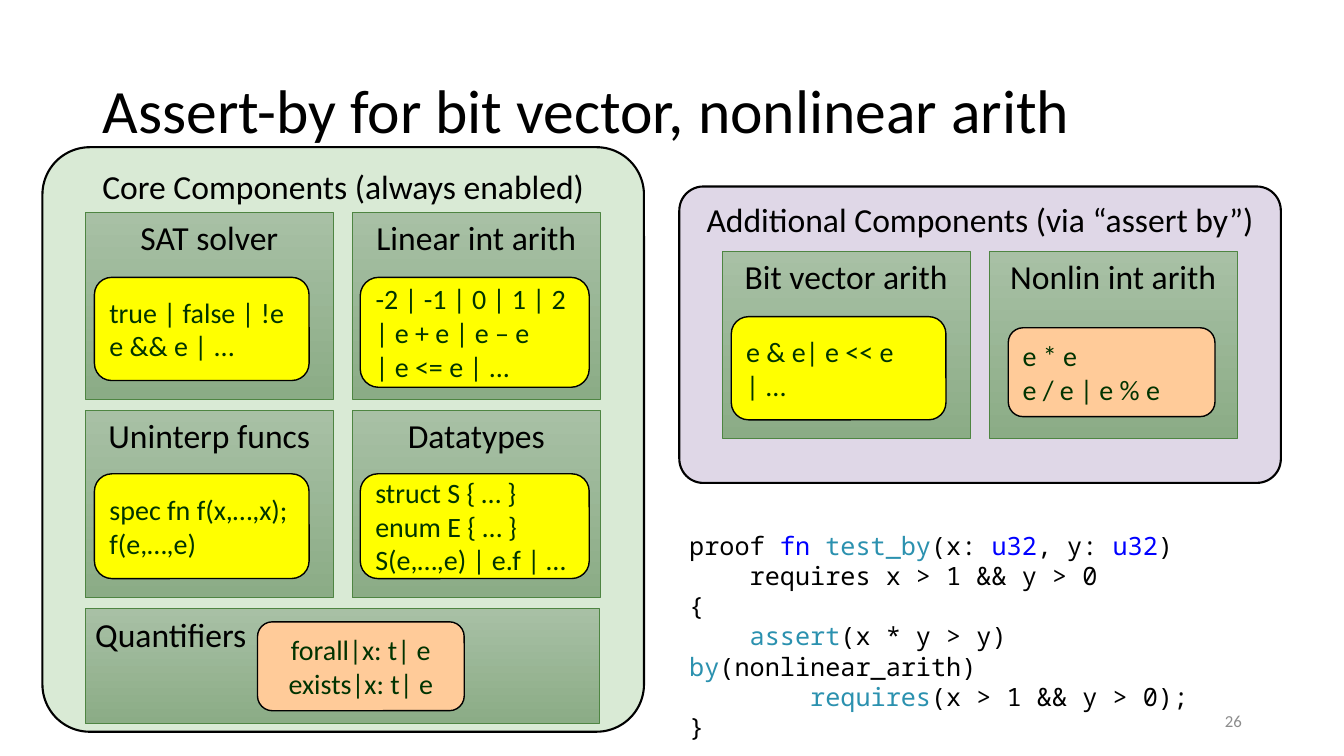
from pptx import Presentation
from pptx.dml.color import RGBColor
from pptx.enum.shapes import MSO_SHAPE
from pptx.enum.text import MSO_ANCHOR, PP_ALIGN
from pptx.util import Cm, Pt

RECT, ROUNDED = MSO_SHAPE.RECTANGLE, MSO_SHAPE.ROUNDED_RECTANGLE
LEFT, CENTER, RIGHT = PP_ALIGN.LEFT, PP_ALIGN.CENTER, PP_ALIGN.RIGHT
TOP, MIDDLE = MSO_ANCHOR.TOP, MSO_ANCHOR.MIDDLE

COLORS = {
    "black": "000000", "core": "D9EAD5", "additional": "DFD7E7",
    "tile_top": "A8C0A5", "tile_bottom": "8BAC86", "tile_line": "4E8542",
    "yellow": "FFFF00", "orange": "FFCB99", "syntax": "003300",
    "keyword": "0000FF", "name": "2B91AF", "number": "8C8C8C",
}

TITLE = "Assert-by for bit vector, nonlinear arith"
PAGE_NUMBER = "26"

# Tile: heading, (column, row), syntax lines, syntax fill,
# syntax box as (left, top, width, height) inside the tile, in cm
PANELS = [
    {"heading": "Core Components (always enabled)", "fill": "core",
     "at": (1.07, 3.71, 15.16, 14.73),
     "tiles": [
         ("SAT solver", (0, 0), ["true | false | !e", "e && e | ..."],
          "yellow", (0.23, 1.65, 5.41, 2.6)),
         ("Linear int arith", (1, 0),
          ["-2 | -1 | 0 | 1 | 2", "| e + e | e – e", "| e <= e | ..."],
          "yellow", (0.2, 1.65, 5.77, 2.77)),
         ("Uninterp funcs", (0, 1), ["spec fn f(x,…,x);", "f(e,…,e)"],
          "yellow", (0.23, 1.6, 5.41, 2.64)),
         ("Datatypes", (1, 1),
          ["struct S { … }", "enum E { … }", "S(e,…,e) | e.f | …"],
          "yellow", (0.2, 1.6, 5.77, 2.64)),
         ("Quantifiers", (0, 2), ["forall|x: t| e", "exists|x: t| e"],
          "orange", (4.34, 0.33, 5.21, 2.24)),
     ]},
    {"heading": "Additional Components (via “assert by”)",
     "fill": "additional", "at": (17.12, 4.7, 15.16, 7.47),
     "tiles": [
         ("Bit vector arith", (0, 0), ["e & e| e << e | ..."],
          "yellow", (0.23, 1.65, 5.41, 2.6)),
         ("Nonlin int arith", (1, 0), ["e * e", "e / e | e % e"],
          "orange", (0.48, 1.93, 5.21, 2.24)),
     ]},
]

CODE = [
    [("proof ", "black"), ("fn", "keyword"), (" ", "black"),
     ("test_by", "name"), ("(x: ", "black"), ("u32", "keyword"),
     (", y: ", "black"), ("u32", "keyword"), (")", "black")],
    [("    requires x > 1 && y > 0", "black")],
    [("{", "black")],
    [("    ", "black"), ("assert", "name"), ("(x * y > y) ", "black"),
     ("by", "name"), ("(nonlinear_arith)", "black")],
    [("        ", "black"), ("requires", "name"),
     ("(x > 1 && y > 0);", "black")],
    [("}", "black")],
]

TILE_OFFSET = (1.08, 1.63)
TILE_PITCH = (6.73, 5.0)
TILE_SIZE = (6.25, 4.72)
WIDE_TILE_SIZE = (12.95, 2.9)
WIDE_ROW = 2


def rgb(name):
    return RGBColor.from_string(COLORS[name])


def write(box, lines, size, align=LEFT, anchor=TOP, font="Calibri",
          spacing=None):
    """Fill a box with lines, each a list of (text, colour name) spans."""
    frame = box.text_frame
    frame.word_wrap = True
    frame.vertical_anchor = anchor
    for index, line in enumerate(lines):
        para = frame.add_paragraph() if index else frame.paragraphs[0]
        para.alignment = align
        para.line_spacing = spacing
        for text, color in line:
            span = para.add_run()
            span.text = text
            span.font.color.rgb = rgb(color)
            for key, value in {"name": font, "size": Pt(size)}.items():
                setattr(span.font, key, value)


def add_box(page, kind, at, fill, line, width):
    """Add an outlined shape; a pair of fills makes a vertical gradient."""
    box = page.shapes.add_shape(kind, *map(Cm, at))
    box.shadow.inherit = False
    if isinstance(fill, tuple):
        box.fill.gradient()
        box.fill.gradient_angle = 270
        for stop, color in zip(box.fill.gradient_stops, fill):
            stop.color.rgb = rgb(color)
    else:
        box.fill.solid()
        box.fill.fore_color.rgb = rgb(fill)
    box.line.color.rgb = rgb(line)
    box.line.width = Pt(width)
    return box


def add_text(page, at, lines, size, **options):
    write(page.shapes.add_textbox(*map(Cm, at)), lines, size, **options)


def add_tile(page, panel_at, heading, cell, syntax, fill, inner):
    left, top = (start + offset + step * pitch for start, offset, step, pitch
                 in zip(panel_at, TILE_OFFSET, cell, TILE_PITCH))
    wide = cell[1] == WIDE_ROW
    size = WIDE_TILE_SIZE if wide else TILE_SIZE
    tile = add_box(page, RECT, (left, top, *size),
                   ("tile_top", "tile_bottom"), "tile_line", 0.5)
    write(tile, [[(heading, "black")]], 24, LEFT if wide else CENTER)
    x, y, width, height = inner
    box = add_box(page, ROUNDED, (left + x, top + y, width, height),
                  fill, "black", 1)
    write(box, [[(text, "syntax")] for text in syntax], 20,
          CENTER if wide else LEFT, MIDDLE)


def add_panel(page, panel):
    box = add_box(page, ROUNDED, panel["at"], panel["fill"], "black", 1.5)
    box.adjustments[0] = 0.081
    write(box, [[(panel["heading"], "black")]], 24, CENTER)
    for tile in panel["tiles"]:
        add_tile(page, panel["at"], *tile)


def main():
    deck = Presentation()
    deck.slide_width, deck.slide_height = Cm(33.87), Cm(19.05)
    page = deck.slides.add_slide(deck.slide_layouts[6])
    for panel in PANELS:
        add_panel(page, panel)
    add_text(page, (2.34, 1.02, 27.15, 3.68), [[(TITLE, "black")]], 44,
             anchor=MIDDLE, spacing=0.9)
    add_text(page, (17.12, 13.23, 15.85, 4.88), CODE, 18,
             font="Noto Sans Mono")
    add_text(page, (23.93, 17.65, 7.62, 1.02), [[(PAGE_NUMBER, "number")]],
             12, align=RIGHT, anchor=MIDDLE)
    deck.save("out.pptx")


if __name__ == "__main__":
    main()
